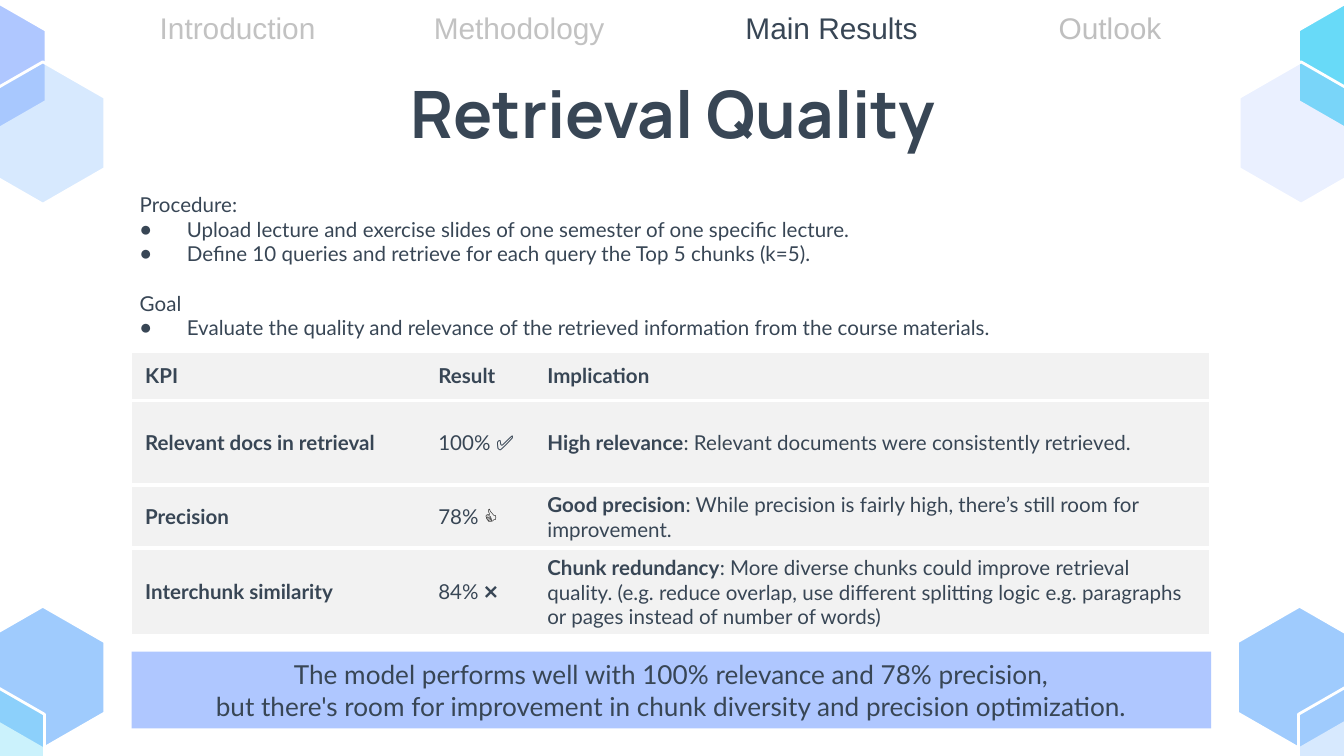
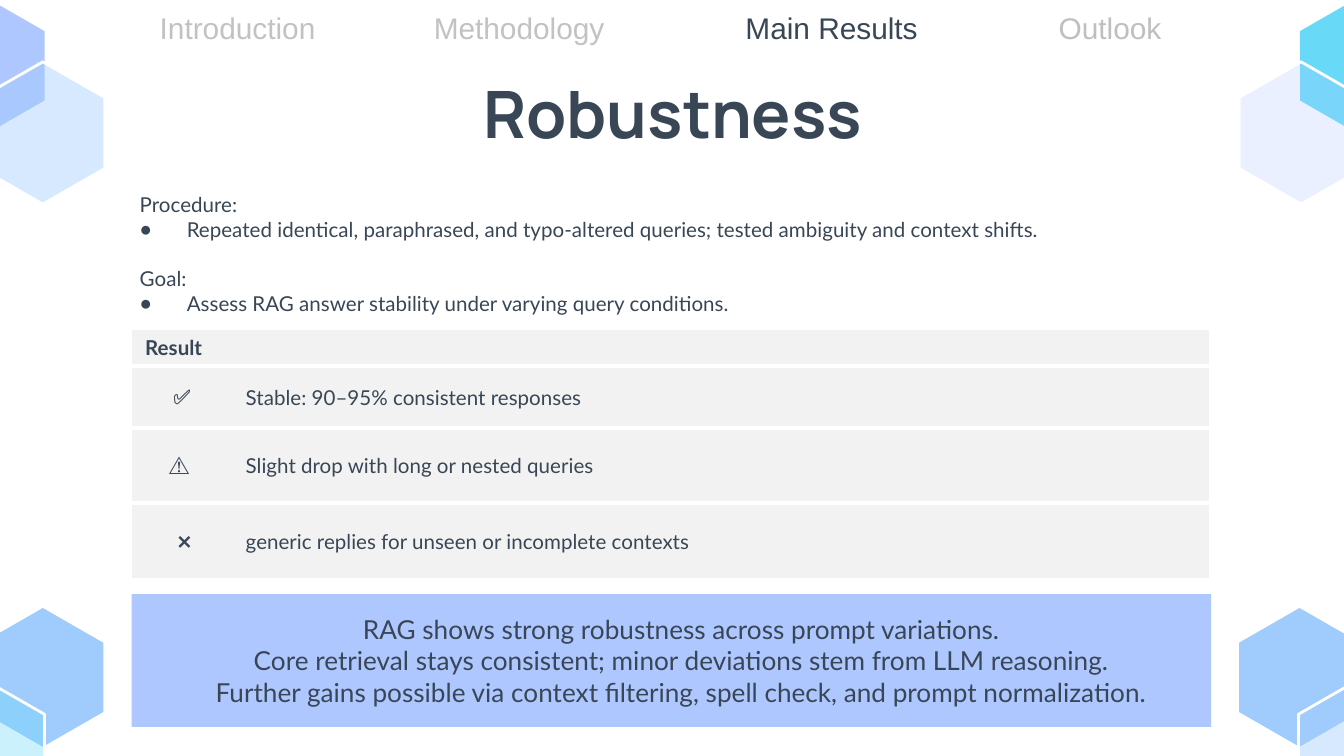
from lxml import etree
from pptx import Presentation
from pptx.dml.color import RGBColor
from pptx.enum.shapes import MSO_SHAPE
from pptx.enum.text import MSO_ANCHOR, MSO_AUTO_SIZE, PP_ALIGN
from pptx.oxml.ns import qn
from pptx.util import Cm, Pt

LEFT, CENTER = PP_ALIGN.LEFT, PP_ALIGN.CENTER
TOP, MIDDLE = MSO_ANCHOR.TOP, MSO_ANCHOR.MIDDLE
NO_FIT, GROW = MSO_AUTO_SIZE.NONE, MSO_AUTO_SIZE.SHAPE_TO_FIT_TEXT
RECT = MSO_SHAPE.RECTANGLE

# Shared colours, fonts and measures (cm)
INK, MUTED, PALE, WHITE = "384655", "C2C2C2", "F2F2F2", "FFFFFF"
PERIWINKLE, SKY, CYAN = "AFC7FF", "9FCBFD", "68DAF8"
TEXT_FONT, TITLE_FONT, NAV_FONT = "Lato", "Manrope", "Arial"
MARGIN, BAND_W, TABLE_W = 2.49, 20.4, 20.35
HEX_W, HEX_H = 2.34, 2.69
PLAIN_TABLE = "{2D5ABB26-0587-4C30-8999-92F81FD0307C}"

# Corner hexagons: left, top, colour, opacity in percent
HEXAGONS = [
    (-0.36, 11.46, SKY, 100), (-1.5, 12.83, CYAN, 34),
    (24.54, -0.1, CYAN, 100), (23.42, 1.17, PERIWINKLE, 25),
    (23.39, 11.46, SKY, 100), (24.54, 12.83, SKY, 41),
    (-1.47, -0.1, PERIWINKLE, 100), (-0.36, 1.17, SKY, 41),
]
# Sections: name, left, width, colour
SECTIONS = [
    ("Introduction", 2.77, 3.66, MUTED), ("Methodology", 7.95, 3.99, MUTED),
    ("Main Results", 13.84, 4.14, INK), ("Outlook", 19.76, 3.28, "BFBFBF"),
]

# Run styles inside table cells
BOLD = {"bold": True}
PLAIN = {"bold": False}
EMOJI = {"bold": False, "name": NAV_FONT}
BLACK_EMOJI = {**EMOJI, "color": "000000"}


def rgb(color):
    return RGBColor.from_string(color)


def sub(parent, tag, **attrs):
    return etree.SubElement(parent, qn(tag), attrs)


def place(shape, x, y, w, h):
    shape.left, shape.top, shape.width, shape.height = Cm(x), Cm(y), Cm(w), Cm(h)


def style(font, size=None, name=None, color=None, bold=None):
    if size:
        font.size = Pt(size)
    if name:
        font.name = name
    if color:
        font.color.rgb = rgb(color)
    if bold is not None:
        font.bold = bold


def add_hexagon(s, x, y, color, opacity):
    corners = [(0.5, 0), (0, 0.25), (0, 0.75), (0.5, 1), (1, 0.75), (1, 0.25)]
    points = [(Cm(x + fx * HEX_W), Cm(y + fy * HEX_H)) for fx, fy in corners]
    builder = s.shapes.build_freeform(*points[0], scale=1.0)
    builder.add_line_segments(points[1:], close=True)
    sp = builder.convert_to_shape()
    sp.shadow.inherit = False
    sp.fill.solid()
    sp.fill.fore_color.rgb = rgb(color)
    sp.line.color.rgb = rgb(WHITE)
    sp.line.width = Pt(1.5)
    if opacity < 100:
        clr = sp.element.spPr.find(qn("a:solidFill")).find(qn("a:srgbClr"))
        sub(clr, "a:alpha", val=str(opacity * 1000))
    return sp


def decorate_layout(layout, s):
    """Draw the hexagons once and hand them to the layout."""
    for i, spec in enumerate(HEXAGONS):
        sp = add_hexagon(s, *spec)
        sp.element.nvSpPr.cNvPr.set("id", str(100 + i))
        layout.shapes.element.append(sp.element)


def add_nav(s):
    for name, x, w, color in SECTIONS:
        tf = s.shapes.add_textbox(Cm(x), Cm(0.05), Cm(w), Cm(0.94)).text_frame
        tf.word_wrap = True
        tf.auto_size = GROW
        tf.vertical_anchor = MIDDLE
        p = tf.paragraphs[0]
        p.text = name
        style(p.font, 16, NAV_FONT, color)


def prepare(placeholder, x, y, w, h):
    place(placeholder, x, y, w, h)
    tf = placeholder.text_frame
    tf.auto_size = NO_FIT
    tf.vertical_anchor = TOP
    tf.margin_left = tf.margin_right = tf.margin_top = tf.margin_bottom = Cm(0.25)
    return tf


def set_title(s, text):
    p = prepare(s.shapes.title, 2.01, 1.24, 21.41, 1.6).paragraphs[0]
    p.text = text
    p.alignment = CENTER
    p.line_spacing = 0.95
    style(p.font, 35, TITLE_FONT, INK, True)


def set_indent(p, left, first=0):
    pPr = p._p.get_or_add_pPr()
    pPr.set("marL", str(Cm(left)))
    pPr.set("indent", str(Cm(first)))
    return pPr


def set_body(s, groups):
    """Each group is a heading followed by its bullet points."""
    tf = prepare(s.placeholders[1], 2.01, 3.38, 21.41, 8.74)
    p = tf.paragraphs[0]
    for g, (heading, *points) in enumerate(groups):
        for i, text in enumerate([heading, *points]):
            if g or i:
                p = tf.add_paragraph()
            p.text = text
            if i:
                pPr = set_indent(p, 1.27, -0.89)
                sub(sub(pPr, "a:buClr"), "a:srgbClr", val=INK)
                sub(pPr, "a:buChar", char="●")
            else:
                sub(set_indent(p, 0.38), "a:buNone")
            p.alignment = LEFT
            p.space_before = Pt(13.2 if g and not i else 0)
            style(p.font, 11, TEXT_FONT, INK)


def rule_cell(cell):
    """White rules above and below a cell."""
    tcPr = cell._tc.get_or_add_tcPr()
    for i, tag in enumerate(("a:lnT", "a:lnB")):
        ln = etree.Element(qn(tag), w=str(Pt(2.25)))
        sub(sub(ln, "a:solidFill"), "a:srgbClr", val=WHITE)
        tcPr.insert(i, ln)


def fill_cell(cell, runs, bold, align):
    cell.fill.solid()
    cell.fill.fore_color.rgb = rgb(PALE)
    cell.vertical_anchor = MIDDLE
    rule_cell(cell)
    p = cell.text_frame.paragraphs[0]
    p.alignment = align
    style(p.font, 11, TEXT_FONT, INK, bold)
    if not runs:
        p._p.get_or_add_endParaRPr().set("sz", "1100")
    elif isinstance(runs, str):
        p.text = runs
    else:
        for text, look in runs:
            r = p.add_run()
            r.text = text
            style(r.font, **look)


def add_grid(s, top, widths, heights, rows, bold_first=False, first_align=LEFT):
    frame = s.shapes.add_table(len(rows), len(widths), Cm(MARGIN), Cm(top),
                               Cm(TABLE_W), Cm(sum(heights)))
    table = frame.table
    table.first_row = table.horz_banding = False
    table._tbl.tblPr.find(qn("a:tableStyleId")).text = PLAIN_TABLE
    for col, w in zip(table.columns, widths):
        col.width = Cm(w)
    for i, (h, row) in enumerate(zip(heights, rows)):
        table.rows[i].height = Cm(h)
        for j, runs in enumerate(row):
            bold = i == 0 or (bold_first and j == 0)
            align = first_align if i and j == 0 else LEFT
            fill_cell(table.cell(i, j), runs, bold, align)


def add_takeaway(s, top, height, paragraphs, indent=0):
    sp = s.shapes.add_shape(RECT, Cm(MARGIN), Cm(top), Cm(BAND_W), Cm(height))
    sp.shadow.inherit = False
    sp.fill.solid()
    sp.fill.fore_color.rgb = rgb(PERIWINKLE)
    sp.line.fill.background()
    tf = sp.text_frame
    tf.word_wrap = True
    tf.vertical_anchor = MIDDLE
    for i, text in enumerate(paragraphs):
        p = tf.add_paragraph() if i else tf.paragraphs[0]
        p.text = text
        p.alignment = CENTER
        set_indent(p, indent)
        style(p.font, 14, TEXT_FONT, INK)


def add_result_slide(prs, title, groups):
    s = prs.slides.add_slide(prs.slide_layouts[1])
    set_title(s, title)
    set_body(s, groups)
    add_nav(s)
    return s


def main():
    prs = Presentation()
    prs.slide_width, prs.slide_height = Cm(25.4), Cm(14.29)

    # Retrieval quality
    s = add_result_slide(prs, "Retrieval Quality", [
        ["Procedure:",
         "Upload lecture and exercise slides of one semester of one specific lecture.",
         "Define 10 queries and retrieve for each query the Top 5 chunks (k=5)."],
        ["Goal",
         "Evaluate the quality and relevance of the retrieved information "
         "from the course materials."],
    ])
    decorate_layout(prs.slide_layouts[1], s)
    add_grid(s, 6.63, [5.54, 2.06, 12.75], [0.94, 1.6, 1.19, 1.63], [
        ["KPI", "Result", "Implication"],
        ["Relevant docs in retrieval",
         [("100% ", PLAIN), ("✅", EMOJI)],
         [("High relevance", BOLD),
          (": Relevant documents were consistently retrieved.", PLAIN)]],
        ["Precision",
         [("78% ", PLAIN), ("👍", BLACK_EMOJI)],
         [("Good precision", BOLD),
          (": While precision is fairly high, there’s still room for improvement.",
           PLAIN)]],
        ["Interchunk similarity",
         [("84% ", PLAIN), ("❌", EMOJI)],
         [("Chunk redundancy", BOLD),
          (": More diverse chunks could improve retrieval quality. (e.g. reduce "
           "overlap, use different splitting logic e.g. paragraphs or pages "
           "instead of number of words)", PLAIN)]],
    ], bold_first=True)
    add_takeaway(s, 12.32, 1.45, [
        "The model performs well with 100% relevance and 78% precision,",
        "but there's room for improvement in chunk diversity and precision "
        "optimization.",
    ])

    # Robustness
    s = add_result_slide(prs, "Robustness", [
        ["Procedure:",
         "Repeated identical, paraphrased, and typo-altered queries; "
         "tested ambiguity and context shifts."],
        ["Goal:",
         "Assess RAG answer stability under varying query conditions."],
    ])
    add_grid(s, 6.2, [1.9, 18.45], [0.7, 1.17, 1.42, 1.45], [
        ["Result", ""],
        [[("✅", EMOJI)], "Stable: 90–95% consistent responses"],
        [[("⚠️ ", EMOJI)], "Slight drop with long or nested queries"],
        [[(" ", PLAIN), ("❌", EMOJI)],
         "generic replies for unseen or incomplete contexts"],
    ], first_align=CENTER)
    add_takeaway(s, 11.23, 2.51, [
        "RAG shows strong robustness across prompt variations.\v"
        "Core retrieval stays consistent; minor deviations stem from LLM reasoning.\v"
        "Further gains possible via context filtering, spell check, and prompt "
        "normalization.",
    ], indent=0.38)

    prs.save("out.pptx")


if __name__ == "__main__":
    main()
